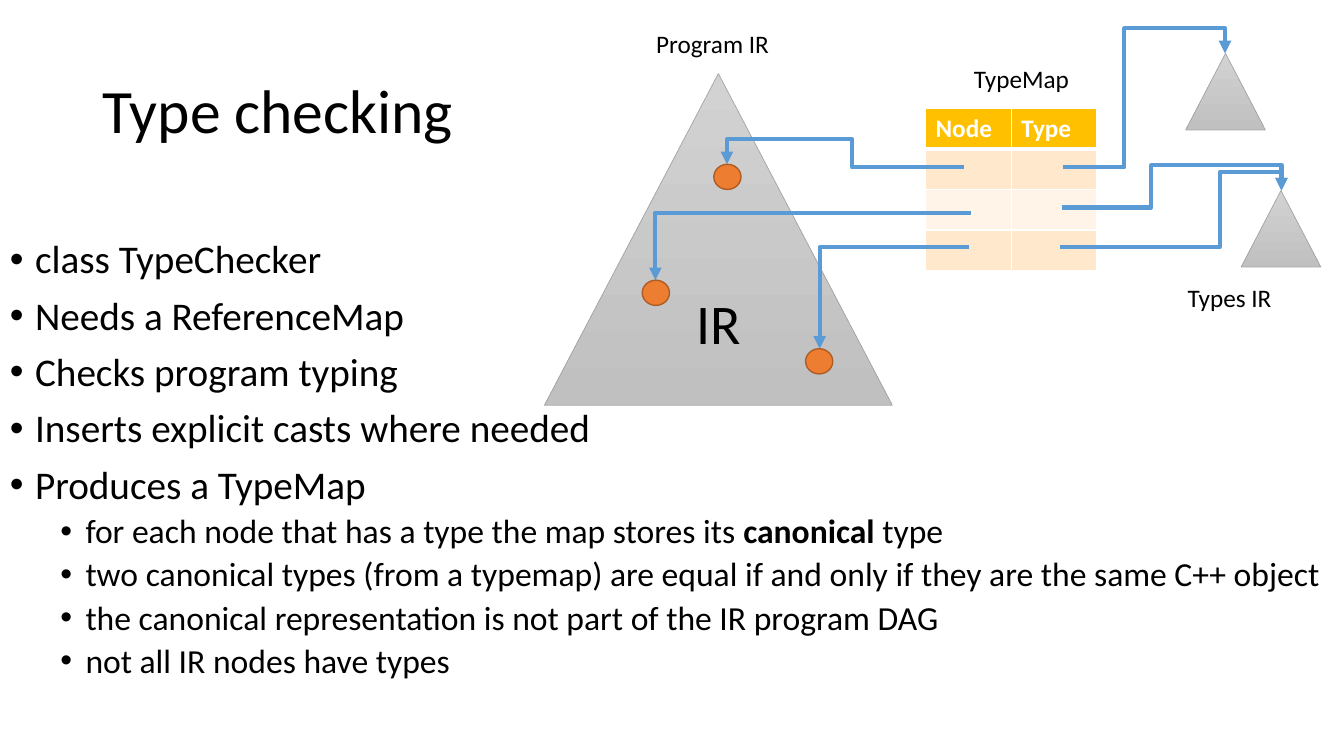
from lxml.etree import SubElement
from pptx import Presentation
from pptx.dml.color import RGBColor
from pptx.enum.shapes import MSO_CONNECTOR, MSO_SHAPE
from pptx.enum.text import MSO_ANCHOR, PP_ALIGN
from pptx.oxml.ns import qn
from pptx.util import Inches, Pt

COLORS = {
    "text": "000000", "white": "FFFFFF", "arrow": "5B9BD5",
    "gray_top": "D2D2D2", "gray_bottom": "C0C0C0", "gray_line": "A5A5A5",
    "node": "ED7D31", "node_line": "AF5C24",
    "header": "FFC000", "band_dark": "FFE8CC", "band_light": "FFF4E7",
}
BULLETS = [
    (0, ["class TypeChecker"]),
    (0, ["Needs a ReferenceMap"]),
    (0, ["Checks program typing"]),
    (0, ["Inserts explicit casts where needed"]),
    (0, ["Produces a TypeMap"]),
    (1, ["for each node that has a type the map stores its ", "canonical", " type"]),
    (1, ["two canonical types (from a typemap) are equal if and only if "
         "they are the same C++ object"]),
    (1, ["the canonical representation is not part of the IR program DAG"]),
    (1, ["not all IR nodes have types"]),
]
LABELS = [
    ("TypeMap", 9.56, 0.58, 1.16),
    ("Program IR", 6.41, 0.23, 1.33),
    ("Types IR", 11.68, 2.75, 1.04),
]
NODES = [(7.99, 3.46), (6.37, 2.78), (7.08, 1.63)]
TYPE_TREES = [(11.76, 0.53), (12.31, 1.89)]
# Start, end and, for a path with three bends, the (x, y) of its middle runs.
ARROWS = [
    ((9.56, 1.66), (7.21, 1.63), (8.45, 1.38)),
    ((9.63, 2.11), (6.5, 2.78), None),
    ((9.61, 2.45), (8.13, 3.46), None),
    ((10.54, 1.66), (12.15, 0.53), (11.15, 0.28)),
    ((10.53, 2.06), (12.71, 1.89), (11.42, 1.64)),
    ((10.51, 2.45), (12.71, 1.89), (12.1, 1.71)),
]


def color(name):
    return RGBColor.from_string(COLORS[name])


def add_span(para, text, size, shade="text", bold=False):
    span = para.add_run()
    span.text = text
    span.font.name = "Calibri"
    span.font.size = Pt(size)
    span.font.bold = bold
    span.font.color.rgb = color(shade)


def add_text(page, text, place, size, wrap=True, anchor=MSO_ANCHOR.TOP):
    frame = page.shapes.add_textbox(*map(Inches, place)).text_frame
    frame.word_wrap = wrap
    frame.vertical_anchor = anchor
    add_span(frame.paragraphs[0], text, size)
    return frame


def add_bullets(page):
    box = page.shapes.add_textbox(Inches(0), Inches(2.33), Inches(13.33), Inches(5.17))
    frame = box.text_frame
    frame.word_wrap = True
    for index, (level, parts) in enumerate(BULLETS):
        para = frame.add_paragraph() if index else frame.paragraphs[0]
        para.level = level
        para.line_spacing = 0.9
        if index:
            para.space_before = Pt(5 if level else 10)
        props = para._p.get_or_add_pPr()
        props.set("marL", str(Inches(0.25 + 0.5 * level)))
        props.set("indent", str(Inches(-0.25)))
        SubElement(props, qn("a:buFont")).set("typeface", "Arial")
        SubElement(props, qn("a:buChar")).set("char", "•")
        for part in parts:
            add_span(para, part, 24 if level else 28, bold=part == "canonical")


def add_outlined(page, kind, place, line, width):
    shape = page.shapes.add_shape(kind, *map(Inches, place))
    shape.shadow.inherit = False
    shape.line.color.rgb = color(line)
    shape.line.width = Pt(width)
    return shape


def add_tree(page, *place):
    """Draw a gray triangle that stands for an IR tree."""
    tree = add_outlined(page, MSO_SHAPE.ISOSCELES_TRIANGLE, place, "gray_line", 0.5)
    tree.fill.gradient()
    tree.fill.gradient_angle = 270
    for stop, name in zip(tree.fill.gradient_stops, ("gray_top", "gray_bottom")):
        stop.color.rgb = color(name)
    return tree


def add_node(page, left, top):
    node = add_outlined(page, MSO_SHAPE.OVAL, (left, top, 0.27, 0.25), "node_line", 1)
    node.fill.solid()
    node.fill.fore_color.rgb = color("node")


def add_border(cell, side, width):
    line = SubElement(cell._tc.get_or_add_tcPr(), qn(f"a:ln{side}"), w=str(Pt(width)))
    fill = SubElement(line, qn("a:solidFill"))
    SubElement(fill, qn("a:srgbClr")).set("val", COLORS["white"])


def add_type_map(page):
    place = map(Inches, (9.18, 1.08, 1.7, 1.6))
    table = page.shapes.add_table(4, 2, *place).table
    for row, band in enumerate(("header", "band_dark", "band_light", "band_dark")):
        for column, heading in enumerate(("Node", "Type")):
            cell = table.cell(row, column)
            for side in "LRTB":
                thick = (row, side) in ((0, "B"), (1, "T"))
                add_border(cell, side, 3 if thick else 1)
            cell.fill.solid()
            cell.fill.fore_color.rgb = color(band)
            para = cell.text_frame.paragraphs[0]
            para.font.size = Pt(18)
            if row == 0:
                add_span(para, heading, 18, "white", bold=True)


def add_arrow(page, start, end, middle):
    """Draw an elbow arrow that leaves sideways and arrives vertically."""
    arrow = page.shapes.add_connector(MSO_CONNECTOR.ELBOW, *map(Inches, start + end))
    arrow.line.color.rgb = color("arrow")
    arrow.line.width = Pt(3)
    SubElement(arrow.line._get_or_add_ln(), qn("a:tailEnd")).set("type", "triangle")
    props = arrow._element.spPr
    SubElement(props, qn("a:effectLst"))
    if end[0] < start[0]:
        # A half turn plus a vertical flip equals a horizontal flip.
        frame = props.find(qn("a:xfrm"))
        frame.set("rot", str(180 * 60000))
        frame.set("flipV", "0" if frame.get("flipV") == "1" else "1")
        frame.set("flipH", "0")
    shape = props.find(qn("a:prstGeom"))
    shape.set("prst", "bentConnector4" if middle else "bentConnector2")
    if middle:
        guides = shape.find(qn("a:avLst"))
        if guides is None:
            guides = SubElement(shape, qn("a:avLst"))
        for number, (first, bend, last) in enumerate(zip(start, middle, end), 1):
            share = round((bend - first) / (last - first) * 100000)
            SubElement(guides, qn("a:gd"), name=f"adj{number}", fmla=f"val {share}")


def main():
    deck = Presentation()
    deck.slide_width, deck.slide_height = Inches(13.33), Inches(7.5)
    page = deck.slides.add_slide(deck.slide_layouts[6])
    title = add_text(page, "Type checking", (0.92, 0.4, 11.5, 1.45), 44,
                     anchor=MSO_ANCHOR.MIDDLE)
    title.paragraphs[0].line_spacing = 0.9
    add_bullets(page)

    program = add_tree(page, 5.4, 0.73, 3.45, 3.29).text_frame
    program.vertical_anchor = MSO_ANCHOR.MIDDLE
    program.paragraphs[0].alignment = PP_ALIGN.CENTER
    add_span(program.paragraphs[0], "IR", 40)
    for left, top in TYPE_TREES:
        add_tree(page, left, top, 0.79, 0.76)
    add_type_map(page)
    for start, end, middle in ARROWS:
        add_arrow(page, start, end, middle)
    for left, top in NODES:
        add_node(page, left, top)
    for text, left, top, width in LABELS:
        add_text(page, text, (left, top, width, 0.4), 18, wrap=False)
    deck.save("out.pptx")


if __name__ == "__main__":
    main()
